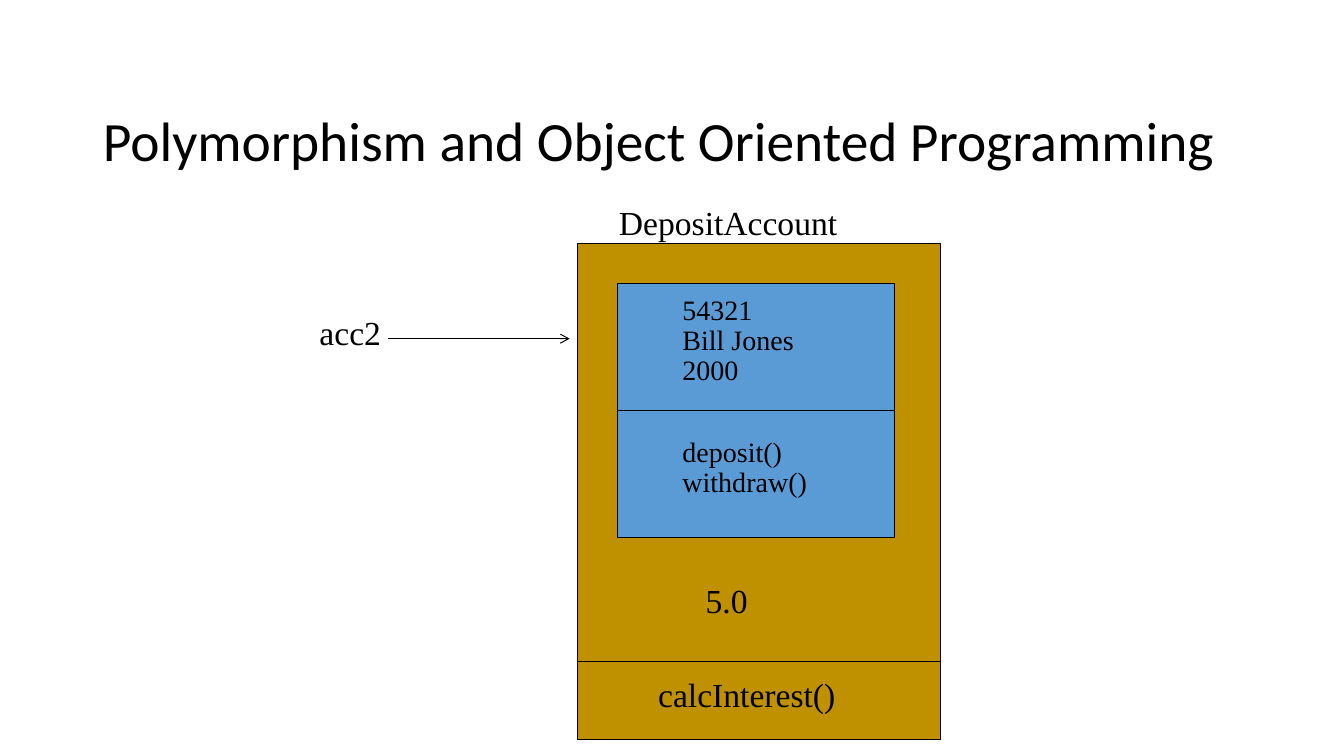
from lxml import etree
from pptx import Presentation
from pptx.dml.color import RGBColor
from pptx.enum.shapes import MSO_CONNECTOR, MSO_SHAPE
from pptx.enum.text import MSO_ANCHOR, MSO_AUTO_SIZE, PP_ALIGN
from pptx.oxml.ns import qn
from pptx.util import Inches, Pt

RECT = MSO_SHAPE.RECTANGLE
STRAIGHT = MSO_CONNECTOR.STRAIGHT
MIDDLE, BOTTOM = MSO_ANCHOR.MIDDLE, MSO_ANCHOR.BOTTOM
LEFT = PP_ALIGN.LEFT
NO_FIT = MSO_AUTO_SIZE.NONE
FIT_SHAPE = MSO_AUTO_SIZE.SHAPE_TO_FIT_TEXT
TITLE_ONLY = 5
COLORS = {"black": "000000", "gold": "BF9000", "blue": "5B9BD5"}


def rgb(name):
    return RGBColor.from_string(COLORS[name])


def style_paragraph(p, font, size, spacing):
    p.alignment = LEFT
    p.line_spacing = spacing
    p.font.name = font
    p.font.size = Pt(size)
    p.font.color.rgb = rgb("black")


def set_title(slide, text):
    sp = slide.shapes.title
    sp.left, sp.top = Inches(0.92), Inches(0.4)
    sp.width, sp.height = Inches(11.5), Inches(1.45)
    tf = sp.text_frame
    tf.text = text
    tf.auto_size = NO_FIT
    tf.vertical_anchor = BOTTOM
    tf.margin_bottom = Inches(0.13)
    style_paragraph(tf.paragraphs[0], "Calibri", 39.6, 0.9)


def add_text(slide, x, y, w, h, lines, size=24, spacing=1.0):
    sp = slide.shapes.add_textbox(Inches(x), Inches(y), Inches(w), Inches(h))
    tf = sp.text_frame
    tf.word_wrap = True
    tf.auto_size = FIT_SHAPE
    tf.text = "\n".join(lines)
    for p in tf.paragraphs:
        style_paragraph(p, "Times New Roman", size, spacing)


def add_box(slide, x, y, w, h, fill):
    sp = slide.shapes.add_shape(RECT, Inches(x), Inches(y), Inches(w), Inches(h))
    sp.shadow.inherit = False
    sp.fill.solid()
    sp.fill.fore_color.rgb = rgb(fill)
    sp.line.color.rgb = rgb("black")
    sp.line.width = Pt(0.75)
    return sp


def add_line(slide, x1, x2, y, arrow=False):
    line = slide.shapes.add_connector(STRAIGHT, Inches(x1), Inches(y), Inches(x2), Inches(y))
    line.line.color.rgb = rgb("black")
    line.line.width = Pt(0.75)
    if arrow:
        etree.SubElement(line.line._get_or_add_ln(), qn("a:tailEnd"), type="arrow")
    etree.SubElement(line._element.spPr, qn("a:effectLst"))
    return line


def main():
    prs = Presentation()
    prs.slide_width, prs.slide_height = Inches(13.33), Inches(7.5)
    slide = prs.slides.add_slide(prs.slide_layouts[TITLE_ONLY])
    set_title(slide, "Polymorphism and Object Oriented Programming")

    # Reference variable and class name
    add_text(slide, 3.07, 3.05, 1.75, 0.5, ["acc2"])
    add_text(slide, 6.04, 1.95, 2.92, 0.5, ["DepositAccount"])

    # Subclass object
    add_box(slide, 5.73, 2.42, 3.6, 4.92, "gold")
    add_text(slide, 6.9, 5.7, 1.02, 0.51, ["5.0"])
    add_text(slide, 6.43, 6.64, 3.5, 0.5, ["calcInterest()"])

    # Inherited part: fields above, methods below
    add_box(slide, 6.12, 2.81, 2.75, 2.52, "blue")
    add_text(slide, 6.67, 2.89, 1.8, 1.01, ["54321", "Bill Jones", "2000"], 20, 0.9)
    add_text(slide, 6.67, 4.3, 1.95, 0.7, ["deposit()", "withdraw()"], 20, 0.9)

    # Reference arrow and dividers
    add_line(slide, 3.85, 5.65, 3.36, arrow=True)
    add_line(slide, 6.12, 8.87, 4.07)
    add_line(slide, 5.73, 9.33, 6.56)

    prs.save("out.pptx")


if __name__ == "__main__":
    main()
